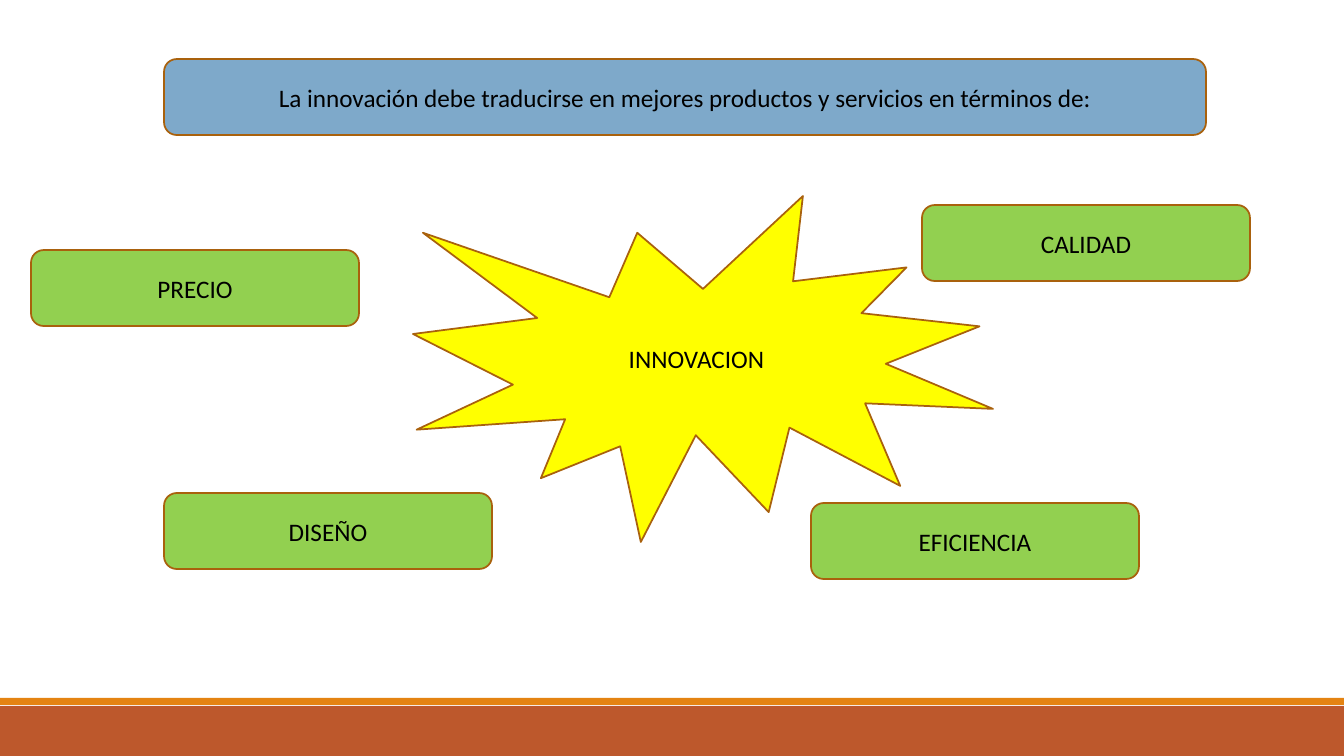
from dataclasses import dataclass

from pptx import Presentation
from pptx.dml.color import RGBColor
from pptx.enum.shapes import MSO_AUTO_SHAPE_TYPE as Preset
from pptx.enum.text import MSO_ANCHOR as Anchor, PP_ALIGN as Align
from pptx.shapes.autoshape import Shape
from pptx.slide import Slide
from pptx.util import Emu, Pt

PAGE_WIDTH, PAGE_HEIGHT = 1344, 756
SCALE = 12192000 / PAGE_WIDTH
BLANK_LAYOUT = 6

RUST = RGBColor(0xBD, 0x58, 0x2C)
ORANGE = RGBColor(0xE4, 0x83, 0x12)
BROWN = RGBColor(0xA9, 0x61, 0x0D)
BLUE = RGBColor(0x7E, 0xA9, 0xCA)
YELLOW = RGBColor(0xFF, 0xFF, 0x00)
GREEN = RGBColor(0x92, 0xD0, 0x50)
BLACK = RGBColor(0x00, 0x00, 0x00)

BOX_HEIGHT = 76
BENEFIT_WIDTH = 328


@dataclass(frozen=True)
class Block:
    left: int
    top: int
    width: int
    height: int
    fill: RGBColor
    preset: Preset = Preset.ROUNDED_RECTANGLE
    text: str = ""


def px(length: int) -> Emu:
    return Emu(round(length * SCALE))


def write_text(box: Shape, text: str, *, size: int = 18, font: str = "Calibri",
               color: RGBColor = BLACK, align: Align = Align.CENTER,
               anchor: Anchor = Anchor.MIDDLE) -> None:
    frame = box.text_frame
    frame.word_wrap = True
    frame.vertical_anchor = anchor
    para = frame.paragraphs[0]
    para.alignment = align
    span = para.add_run()
    span.text = text
    span.font.size = Pt(size)
    span.font.name = font
    span.font.color.rgb = color


def draw_block(page: Slide, block: Block) -> None:
    box = page.shapes.add_shape(block.preset, px(block.left), px(block.top),
                                px(block.width), px(block.height))
    box.shadow.inherit = False
    box.fill.solid()
    box.fill.fore_color.rgb = block.fill
    if block.text:
        box.line.color.rgb = BROWN
        box.line.width = Pt(1.25)
        write_text(box, block.text)
    else:
        box.line.fill.background()


def benefit(text: str, left: int, top: int) -> Block:
    return Block(left, top, BENEFIT_WIDTH, BOX_HEIGHT, GREEN, text=text)


BLOCKS = [
    Block(0, 706, PAGE_WIDTH, 50, RUST, Preset.RECTANGLE),
    Block(0, 698, PAGE_WIDTH, 7, ORANGE, Preset.RECTANGLE),
    Block(164, 59, 1042, BOX_HEIGHT, BLUE,
          text="La innovación debe traducirse en mejores productos y servicios en términos de:"),
    Block(413, 196, 580, 346, YELLOW, Preset.EXPLOSION1, "INNOVACION "),
    benefit("CALIDAD", 922, 205),
    benefit("PRECIO", 31, 250),
    benefit("EFICIENCIA", 811, 503),
    benefit("DISEÑO", 164, 493),
]

deck = Presentation()
deck.slide_width = px(PAGE_WIDTH)
deck.slide_height = px(PAGE_HEIGHT)
slide = deck.slides.add_slide(deck.slide_layouts[BLANK_LAYOUT])
for item in BLOCKS:
    draw_block(slide, item)
deck.save("out.pptx")
